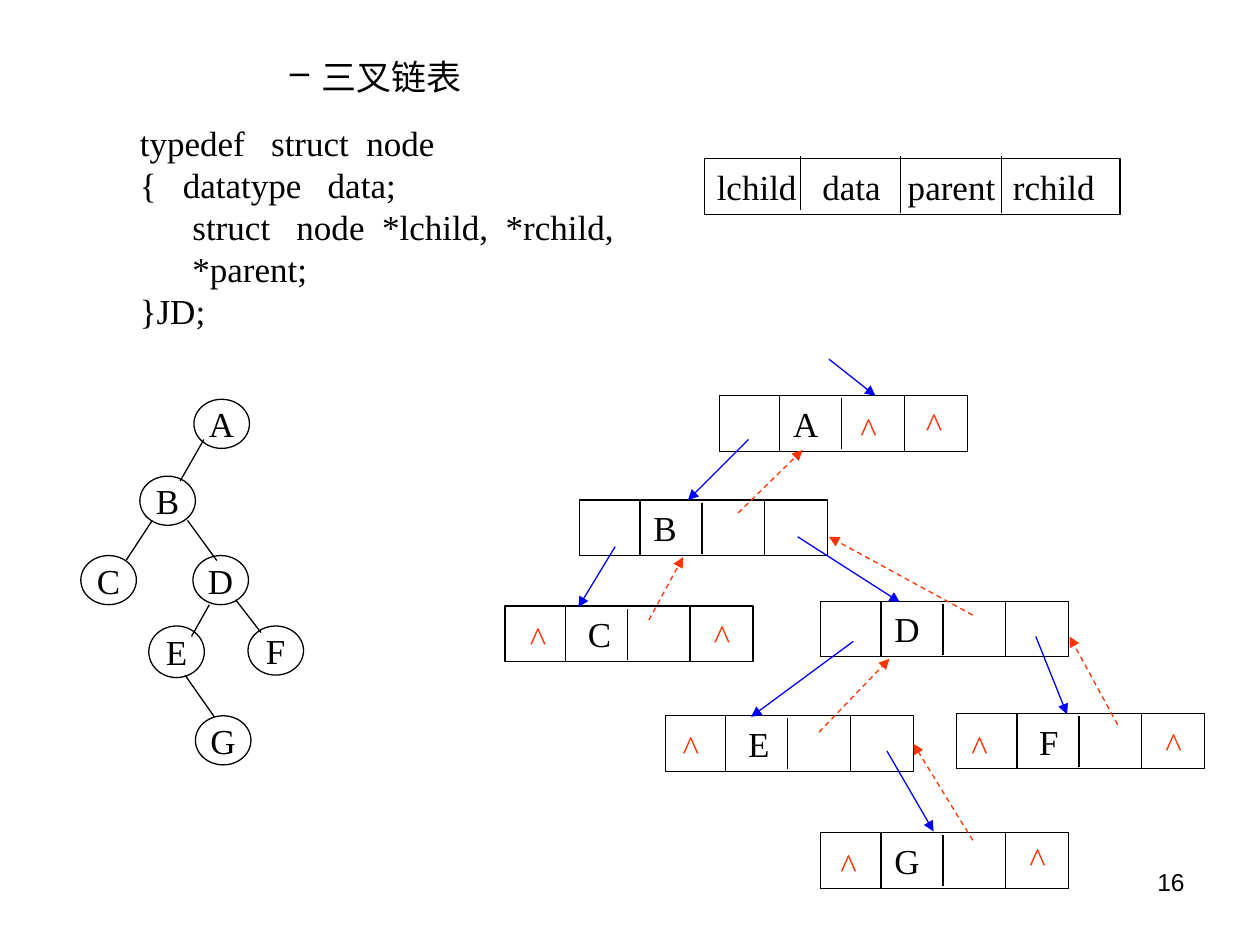
from lxml.etree import SubElement
from pptx import Presentation
from pptx.dml.color import RGBColor
from pptx.enum.dml import MSO_LINE
from pptx.enum.shapes import MSO_CONNECTOR, MSO_SHAPE
from pptx.enum.text import MSO_ANCHOR as Anchor, MSO_AUTO_SIZE, PP_ALIGN as Align
from pptx.oxml.ns import qn
from pptx.util import Cm, Pt

COLORS = {"ink": "000000", "child": "0000FF", "parent": "FF3300"}
SERIF, SANS = "Times New Roman", "Arial"
RIGHT_SIDE = 3


def bezier(start, control_1, control_2, end, steps=12):
    """Points along a cubic curve, without its start."""
    for step in range(1, steps + 1):
        t = step / steps
        weights = ((1 - t) ** 3, 3 * t * (1 - t) ** 2, 3 * t * t * (1 - t), t ** 3)
        yield tuple(sum(weight * point[axis] for weight, point in
                        zip(weights, (start, control_1, control_2, end)))
                    for axis in (0, 1))


class Board:
    """Draws styled elements on one slide; all lengths are centimetres."""

    def __init__(self, slide, line_width=0.75, size=20):
        self.slide = slide
        self.shapes = slide.shapes
        self.line_width = line_width
        self.size = size

    def color(self, name):
        return RGBColor.from_string(COLORS[name])

    def style_paragraph(self, paragraph, align=Align.LEFT, color="ink", font=SERIF, size=None):
        paragraph.alignment = align
        paragraph.font.name = font
        paragraph.font.size = Pt(size or self.size)
        paragraph.font.color.rgb = self.color(color)

    def style_line(self, line, color="ink"):
        line.color.rgb = self.color(color)
        line.width = Pt(self.line_width)

    def title(self, text, left, top, width, height, indent, hanging):
        title = self.shapes.title
        title.left, title.top, title.width, title.height = map(Cm, (left, top, width, height))
        frame = title.text_frame
        frame.text = text
        frame.vertical_anchor = Anchor.TOP
        frame.auto_size = MSO_AUTO_SIZE.NONE
        paragraph = frame.paragraphs[0]
        paragraph.space_before = Pt(5)
        properties = paragraph._p.get_or_add_pPr()
        properties.set("marL", str(Cm(indent)))
        properties.set("indent", str(Cm(-hanging)))
        SubElement(properties, qn("a:buChar"), char="–")
        self.style_paragraph(paragraph, font=SANS)

    def text(self, text, left, top, width, height, anchor=Anchor.MIDDLE, wrap=False, **style):
        box = self.shapes.add_textbox(Cm(left), Cm(top), Cm(width), Cm(height))
        frame = box.text_frame
        frame.text = text
        frame.word_wrap = wrap
        frame.vertical_anchor = anchor
        for paragraph in frame.paragraphs:
            self.style_paragraph(paragraph, **style)
        return box

    def shape(self, kind, text, left, top, width, height, inset=0.25, wrap=True,
              tabs=(), **style):
        shape = self.shapes.add_shape(kind, Cm(left), Cm(top), Cm(width), Cm(height))
        shape.shadow.inherit = False
        shape.fill.background()
        self.style_line(shape.line)
        frame = shape.text_frame
        frame.text = text
        frame.word_wrap = wrap
        frame.vertical_anchor = Anchor.MIDDLE
        frame.margin_left = Cm(inset)
        paragraph = frame.paragraphs[0]
        if tabs:
            tab_list = SubElement(paragraph._p.get_or_add_pPr(), qn("a:tabLst"))
            for position in tabs:
                SubElement(tab_list, qn("a:tab"), pos=str(Cm(position)), algn="l")
        self.style_paragraph(paragraph, **style)
        return shape

    def line(self, x1, y1, x2, y2, color="ink", arrow=False, dashed=False):
        connector = self.shapes.add_connector(
            MSO_CONNECTOR.STRAIGHT, Cm(x1), Cm(y1), Cm(x2), Cm(y2))
        self.style_line(connector.line, color)
        if dashed:
            connector.line.dash_style = MSO_LINE.DASH
        if arrow:
            SubElement(connector.line._get_or_add_ln(), qn("a:tailEnd"), type="triangle")
        SubElement(connector._element.spPr, qn("a:effectLst"))
        return connector

    def curve(self, points, color):
        builder = self.shapes.build_freeform(*points[0], scale=Cm(1))
        builder.add_line_segments(points[1:], close=False)
        shape = builder.convert_to_shape()
        shape.shadow.inherit = False
        shape.fill.background()
        self.style_line(shape.line, color)

    def record(self, letter, left, top, letter_inset):
        """A linked-list node with four fields."""
        shape = self.shape(MSO_SHAPE.RECTANGLE, letter, left, top, 5, 1.12, letter_inset)
        for offset, trim in ((1.22, 0), (2.47, 0.05), (3.73, 0)):
            self.line(left + offset, top + trim, left + offset, top + 1.13 - trim)
        return shape


def main():
    presentation = Presentation()
    presentation.slide_width, presentation.slide_height = Cm(25.4), Cm(19.05)
    board = Board(presentation.slides.add_slide(presentation.slide_layouts[5]))

    # Heading and type definition
    board.title("三叉链表", 1.78, 0.99, 23.62, 1.24, indent=4.45, hanging=0.64)
    code = board.text("typedef   struct  node\n{   datatype   data;\n"
                      "struct   node  *lchild,  *rchild,  *parent;\n}JD;",
                      2.57, 2.74, 12.73, 3.66)
    member = code.text_frame.paragraphs[2]
    member._p.get_or_add_pPr().set("marL", str(Cm(1.06)))

    # Field layout of one node
    board.shape(MSO_SHAPE.RECTANGLE, "lchild\tdata\tparent\trchild",
                14.2, 3.2, 8.38, 1.12, tabs=(2.13, 3.85, 5.97))
    for x, bottom in ((16.13, 4.24), (18.16, 4.29), (20.19, 4.29)):
        board.line(x, 3.15, x, bottom)

    # Binary tree
    tree_nodes = {"A": (3.91, 8.05), "B": (2.82, 9.6), "C": (1.63, 11.2), "D": (3.89, 11.2),
                  "E": (3, 12.62), "F": (5, 12.62), "G": (3.94, 14.43)}
    for letter, (left, top) in tree_nodes.items():
        board.shape(MSO_SHAPE.OVAL, letter, left, top, 1.12, 1.04 if letter == "E" else 0.99,
                    wrap=False, align=Align.CENTER)
    tree_edges = ((4.11, 8.86, 3.63, 9.7), (3.07, 10.49, 2.54, 11.3),
                  (3.78, 10.49, 4.37, 11.3), (4.22, 12.19, 3.86, 12.83),
                  (4.75, 12.09, 5.26, 12.75), (3.73, 13.61, 4.32, 14.45))
    for edge in tree_edges:
        board.line(*edge)

    # Linked records: left, top, letter inset, offsets of the null marks
    records = {
        "A": (14.5, 7.98, 1.49, ((2.59, 0.1), (3.91, 0))),
        "B": (11.68, 10.08, 1.49, ()),
        "C": (10.18, 12.22, 1.67, ((0.25, 0.08), (3.96, 0.03))),
        "D": (16.54, 12.12, 1.49, ()),
        "E": (13.41, 14.43, 1.67, ((0.1, 0.05),)),
        "F": (19.28, 14.38, 1.67, ((0.05, 0.1), (3.96, 0.05))),
        "G": (16.54, 16.79, 1.49, ((0.15, 0.08), (3.96, -0.05))),
    }
    boxes = {letter: board.record(letter, left, top, inset)
             for letter, (left, top, inset, _) in records.items()}

    # Child pointers, with the root pointer last
    child_links = ((15.09, 8.86, 13.87, 10.08), (12.4, 11.02, 11.66, 12.24),
                   (17.2, 12.93, 15.14, 14.45), (16.08, 10.82, 18.14, 12.14),
                   (20.88, 12.83, 21.51, 14.4), (17.88, 15.14, 18.82, 16.76),
                   (16.71, 7.24, 17.65, 7.98))
    for link in child_links:
        board.line(*link, color="child", arrow=True)
    start, bend, end = (16.92, 6.58), (17.35, 6.81), (16.71, 7.24)
    board.curve([start, *bezier(start, (17.15, 6.63), (17.42, 6.71), bend),
                 *bezier(bend, (17.32, 6.93), (16.81, 7.16), end)], "child")

    # Parent pointers
    parent_links = ((14.88, 10.34, 16.18, 9.07), (13.08, 12.5, 13.77, 11.23),
                    (19.61, 12.4, 16.71, 10.82), (16.51, 14.76, 17.93, 13.28),
                    (22.53, 14.61, 21.56, 12.83), (19.61, 16.94, 18.42, 15.04))
    for link in parent_links:
        pointer = board.line(*link, color="parent", arrow=True, dashed=True)
    pointer.end_connect(boxes["E"], RIGHT_SIDE)  # from G

    # Null marks
    for left, top, _, marks in records.values():
        for dx, dy in marks:
            board.text("^", left + dx, top + dy, 0.84, 1.12,
                       align=Align.CENTER, color="parent")

    # Page number
    board.text("16", 18.21, 17.35, 5.92, 1.32, anchor=Anchor.TOP, wrap=True,
               align=Align.RIGHT, font=SANS, size=14)

    presentation.save("out.pptx")


if __name__ == "__main__":
    main()
